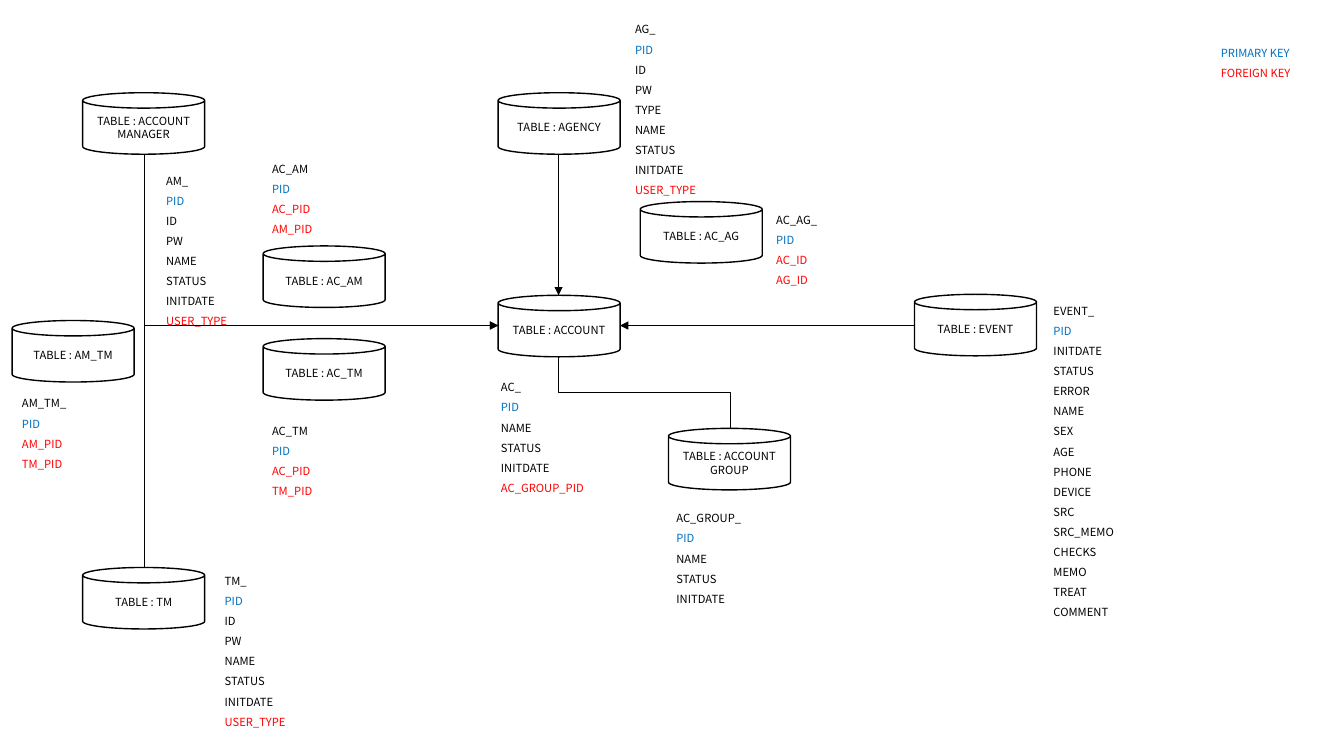
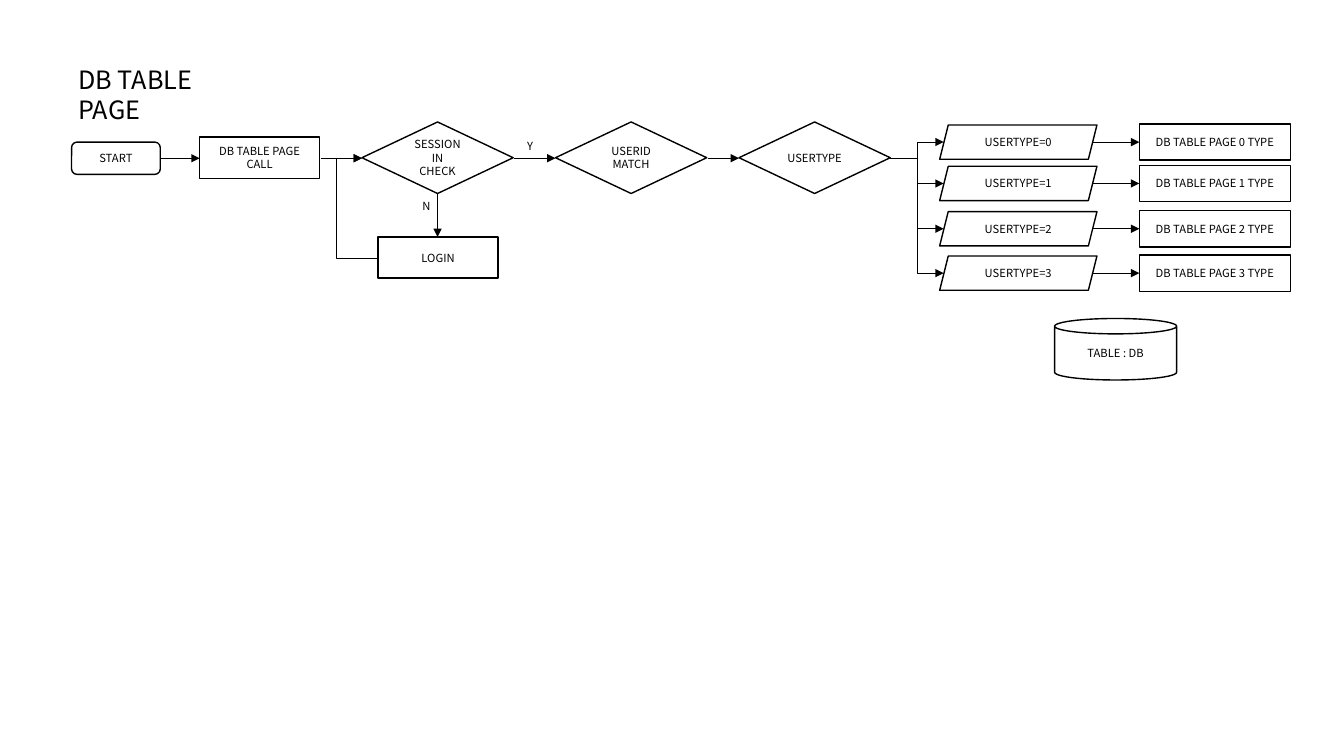
from math import cos, radians, sin
from lxml.etree import SubElement
from pptx import Presentation
from pptx.dml.color import RGBColor
from pptx.enum.shapes import MSO_CONNECTOR, MSO_SHAPE
from pptx.enum.text import MSO_ANCHOR, PP_ALIGN
from pptx.oxml.ns import qn
from pptx.util import Inches, Pt

deck = Presentation()
deck.slide_width, deck.slide_height = Inches(13.33), Inches(7.5)
col, row = deck.slide_width / 1333, deck.slide_height / 750
FONT = "Noto Sans CJK KR"
INK = {"text": "000000", "primary": "0070C0", "foreign": "FF0000"}
FOREIGN = ("_PID", "_ID", "_TYPE", "FOREIGN KEY")
CAN, RECT = MSO_SHAPE.CAN, MSO_SHAPE.RECTANGLE


def put(page, kind, x, y, wide, high, lines, size=8, gap=None, wrap=True):
    area = [int(v) for v in (x * col, y * row, wide * col, high * row)]
    if kind is None:
        item = page.shapes.add_textbox(*area)
    else:
        item = page.shapes.add_shape(kind, *area)
        item.shadow.inherit = False
        item.fill.background()
        item.line.color.rgb = RGBColor.from_string(INK["text"])
        item.line.width = Pt(1)
    frame = item.text_frame
    frame.word_wrap = wrap
    frame.vertical_anchor = MSO_ANCHOR.MIDDLE if kind else MSO_ANCHOR.TOP
    for n, line in enumerate(lines):
        para = frame.add_paragraph() if n else frame.paragraphs[0]
        para.alignment = PP_ALIGN.CENTER if kind else PP_ALIGN.LEFT
        if gap:
            para.line_spacing = gap
        run = para.add_run()
        run.text = line
        run.font.name, run.font.size = FONT, Pt(size)
        tone = "text"
        if line in ("PID", "PRIMARY KEY"):
            tone = "primary"
        elif line.endswith(FOREIGN):
            tone = "foreign"
        run.font.color.rgb = RGBColor.from_string(INK[tone])


def link(page, x1, y1, x2, y2, form="line", turn=0, tip=True, bend=None):
    mid_x, mid_y = (x1 + x2) / 2, (y1 + y2) / 2
    c, s = cos(radians(turn)), sin(radians(turn))
    ends = []
    for x, y in ((x1, y1), (x2, y2)):
        dx, dy = x - mid_x, y - mid_y
        ends += [round((mid_x + dx * c + dy * s) * col), round((mid_y - dx * s + dy * c) * row)]
    kind = MSO_CONNECTOR.STRAIGHT if form == "line" else MSO_CONNECTOR.ELBOW
    bar = page.shapes.add_connector(kind, *ends)
    bar.line.color.rgb = RGBColor.from_string(INK["text"])
    bar.line.width = Pt(0.5)
    props = bar._element.spPr
    geom = props.find(qn("a:prstGeom"))
    geom.set("prst", form)
    if turn:
        props.find(qn("a:xfrm")).set("rot", str(turn * 60000))
    if bend:
        SubElement(geom.find(qn("a:avLst")), qn("a:gd"), name="adj1", fmla=f"val {bend}")
    if tip:
        SubElement(props.find(qn("a:ln")), qn("a:tailEnd"), type="triangle")
    SubElement(props, qn("a:effectLst"))


blank = deck.slide_layouts[6]
model = deck.slides.add_slide(blank)
for x, y, name in (
    (82, 92, "ACCOUNT|MANAGER"), (494, 293, "ACCOUNT"), (494, 92, "AGENCY"),
    (82, 563, "TM"), (907, 292, "EVENT"), (663, 425, "ACCOUNT|GROUP"),
    (261, 244, "AC_AM"), (261, 336, "AC_TM"), (12, 318, "AM_TM"), (635, 200, "AC_AG"),
):
    put(model, CAN, x, y, 121, 61, f"TABLE : {name}".split("|"))

USER = "PID ID PW NAME STATUS INITDATE USER_TYPE"
for x, y, wide, names in (
    (620, 11, 84, "AG_ PID ID PW TYPE NAME STATUS INITDATE USER_TYPE"),
    (487, 366, 144, "AC_ PID NAME STATUS INITDATE AC_GROUP_PID"),
    (213, 558, 84, f"TM_ {USER}"),
    (155, 161, 84, f"AM_ {USER}"),
    (1035, 290, 105, "EVENT_ PID INITDATE STATUS ERROR NAME SEX AGE PHONE DEVICE "
                     "SRC SRC_MEMO CHECKS MEMO TREAT COMMENT"),
    (661, 496, 131, "AC_GROUP_ PID NAME STATUS INITDATE"),
    (260, 149, 133, "AC_AM PID AC_PID AM_PID"),
    (260, 409, 133, "AC_TM PID AC_PID TM_PID"),
    (12, 382, 133, "AM_TM_ PID AM_PID TM_PID"),
    (760, 200, 84, "AC_AG_ PID AC_ID AG_ID"),
):
    names = names.split()
    put(model, None, x, y, wide, 20 * len(names) + 11, names, gap=1.5)
put(model, None, 1201, 34, 103, 50, ["PRIMARY KEY", "FOREIGN KEY"], gap=1.5)

link(model, 554, 153, 554, 293)
link(model, 907, 323, 615, 323)
link(model, 143, 153, 494, 323, "bentConnector2", 270)
link(model, 143, 563, 494, 323, "bentConnector2", 90)
link(model, 554, 354, 724, 425, "bentConnector3", 270, tip=False)

flow = deck.slides.add_slide(blank)
put(flow, None, 68, 59, 190, 40, ["DB TABLE PAGE"], size=18)
put(flow, MSO_SHAPE.ROUNDED_RECTANGLE, 71, 141, 88, 32, ["START"])
put(flow, RECT, 198, 136, 119, 41, ["DB TABLE PAGE", "CALL"])
put(flow, RECT, 375, 235, 119, 41, ["LOGIN"])
for x, lines in ((359, ["SESSION IN", "CHECK"]), (551, ["USERID", "MATCH"]), (733, ["USERTYPE"])):
    put(flow, MSO_SHAPE.DIAMOND, x, 121, 150, 71, lines)
for x1, x2 in ((159, 198), (318, 359), (510, 551), (702, 733)):
    link(flow, x1, 157, x2, 157)
link(flow, 434, 192, 434, 235)
link(flow, 375, 256, 359, 157, "bentConnector3", 180, bend=260700)

for n, mid in enumerate((141, 182, 227, 271)):
    put(flow, MSO_SHAPE.PARALLELOGRAM, 932, mid - 17, 156, 34, [f"USERTYPE={n}"])
    put(flow, RECT, 1130, mid - 18, 150, 36, [f"DB TABLE PAGE {n} TYPE"])
    link(flow, 883, 157, 936, mid, "bentConnector3")
    link(flow, 1084, mid, 1130, mid)

put(flow, None, 409, 193, 29, 24, ["N"], wrap=False)
put(flow, None, 513, 133, 27, 24, ["Y"], wrap=False)
put(flow, CAN, 1046, 316, 121, 61, ["TABLE : DB"])

deck.save("out.pptx")
